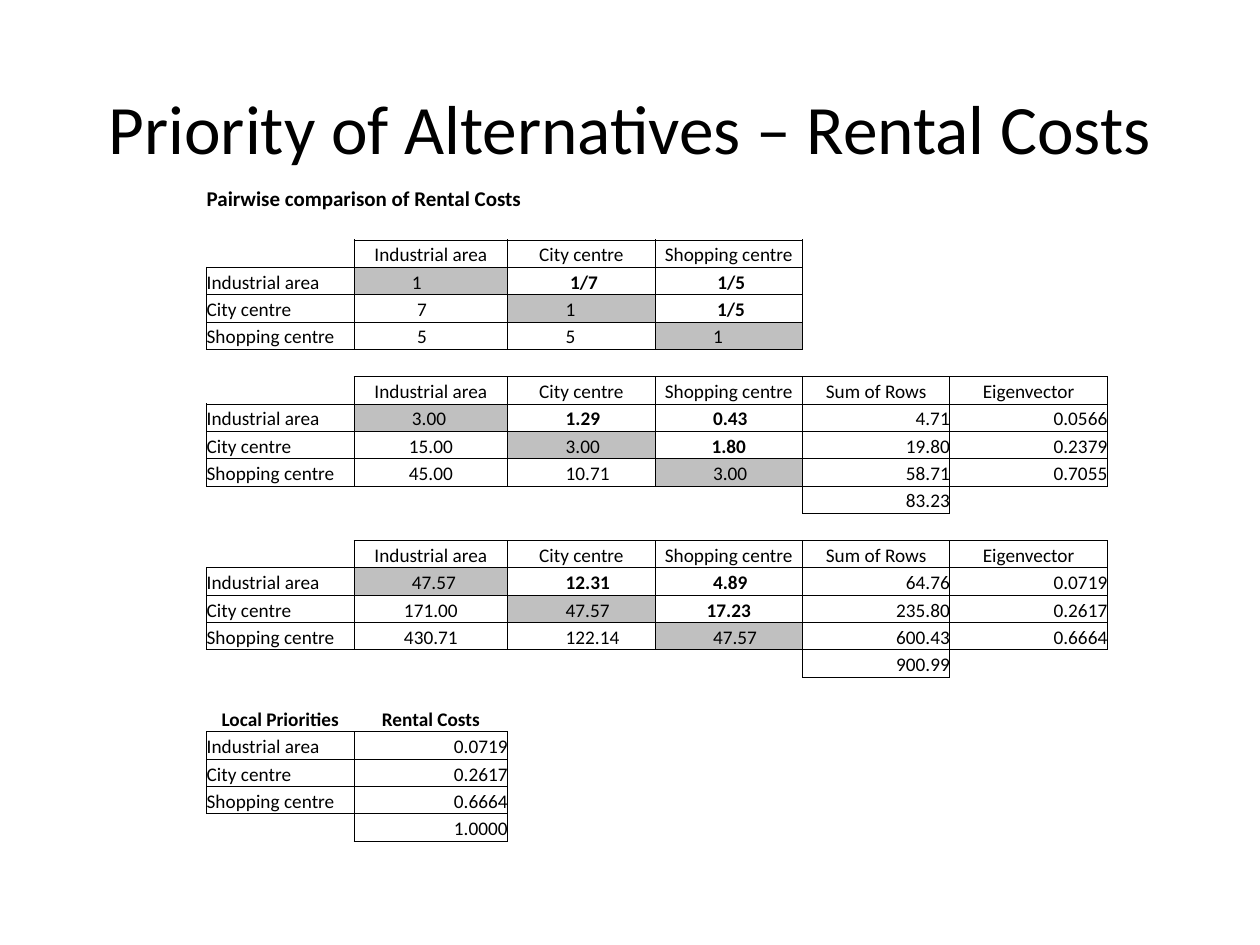
"""Build the slide on the priority of alternatives by rental costs."""

from lxml.etree import SubElement
from pptx import Presentation
from pptx.dml.color import RGBColor
from pptx.enum.text import MSO_ANCHOR, PP_ALIGN
from pptx.oxml.ns import qn
from pptx.util import Inches, Pt

COLORS = {"ink": "000000", "diagonal": "C0C0C0"}
FONT = "Calibri"
COLUMN_WIDTHS = [1.17, 1.22, 1.17, 1.17, 1.17, 1.25]
ROW_COUNT = 24
ROW_HEIGHT = 5.21 / ROW_COUNT
INDENT = 0.46
AREAS = ["Industrial area", "City centre", "Shopping centre"]
RESULT_HEADINGS = ["Sum of Rows", "Eigenvector"]
SIDES = {"a:lnL": (0, -1), "a:lnR": (0, 1), "a:lnT": (-1, 0), "a:lnB": (1, 0)}

COMPARISON = [["1", " 1/7", " 1/5"], ["7", "1", " 1/5"], ["5", "5", "1"]]
FIRST_SQUARE = [
    ["3.00", "1.29", "0.43", "4.71", "0.0566"],
    ["15.00", "3.00", "1.80", "19.80", "0.2379"],
    ["45.00", "10.71", "3.00", "58.71", "0.7055"],
]
SECOND_SQUARE = [
    ["47.57", "12.31", "4.89", "64.76", "0.0719"],
    ["171.00", "47.57", "17.23", "235.80", "0.2617"],
    ["430.71", "122.14", "47.57", "600.43", "0.6664"],
]
PRIORITIES = ["0.0719", "0.2617", "0.6664", "1.0000"]


def entry(text, align=PP_ALIGN.LEFT, **extra):
    """Describe one cell with its text and format."""
    defaults = {"bold": False, "size": 11, "left": 0, "right": 0, "fill": None, "boxed": True}
    return {**defaults, "text": text, "align": align, **extra}


def matrix_entry(text, row, column):
    """Describe a matrix value by its place relative to the diagonal."""
    if column >= len(AREAS):
        return entry(text, PP_ALIGN.RIGHT)
    bold = column > row
    if (row, column) in [(1, 0), (2, 0), (1, 2)]:
        right = 0.14 if len(text) == 1 else 0
        return entry(text, PP_ALIGN.CENTER, bold=bold, right=right)
    fill = "diagonal" if row == column else None
    return entry(text, bold=bold, left=INDENT, fill=fill)


def place_areas(grid, top):
    """Put the area names down the first column."""
    for row, area in enumerate(AREAS):
        grid[top + row, 0] = entry(area)


def place_matrix(grid, top, values, total=None):
    """Put a matrix with headings, and its total if any, into the grid."""
    headings = (AREAS + RESULT_HEADINGS)[:len(values[0])]
    for column, heading in enumerate(headings):
        grid[top, column + 1] = entry(heading, PP_ALIGN.CENTER)
    place_areas(grid, top + 1)
    for row, line in enumerate(values):
        for column, text in enumerate(line):
            grid[top + 1 + row, column + 1] = matrix_entry(text, row, column)
    if total:
        grid[top + 4, 4] = entry(total, PP_ALIGN.RIGHT)


def place_priorities(grid, top):
    """Put the local priorities into the grid."""
    for column, heading in enumerate(["Local Priorities", "Rental Costs"]):
        grid[top, column] = entry(heading, PP_ALIGN.CENTER, bold=True, boxed=False)
    place_areas(grid, top + 1)
    for row, text in enumerate(PRIORITIES, start=top + 1):
        grid[row, 1] = entry(text, PP_ALIGN.RIGHT)


def make_grid():
    """Collect every filled cell by row and column."""
    grid = {(0, 0): entry("Pairwise comparison of Rental Costs", bold=True, size=12, boxed=False)}
    place_matrix(grid, 2, COMPARISON)
    place_matrix(grid, 7, FIRST_SQUARE, "83.23")
    place_matrix(grid, 13, SECOND_SQUARE, "900.99")
    place_priorities(grid, 19)
    return grid


def set_borders(cell, grid, place):
    """Draw each edge that touches a boxed cell."""
    properties = cell._tc.get_or_add_tcPr()
    for tag, (down, across) in SIDES.items():
        neighbour = (place[0] + down, place[1] + across)
        boxed = any(grid[spot]["boxed"] for spot in (place, neighbour) if spot in grid)
        line = SubElement(properties, qn(tag), w=str(Pt(0.5)))
        if boxed:
            solid = SubElement(line, qn("a:solidFill"))
            SubElement(solid, qn("a:srgbClr"), val=COLORS["ink"])
        else:
            SubElement(line, qn("a:noFill"))


def write(para, text, size, bold=False):
    """Write one formatted run into a paragraph."""
    span = para.add_run()
    span.text = text
    for name, value in {"name": FONT, "size": Pt(size), "bold": bold}.items():
        setattr(span.font, name, value)
    span.font.color.rgb = RGBColor.from_string(COLORS["ink"])


def format_cell(cell, grid, place):
    """Fill and format one table cell."""
    item = grid.get(place, entry(""))
    layout = {
        "margin_left": Inches(item["left"]),
        "margin_right": Inches(item["right"]),
        "margin_top": 0,
        "margin_bottom": 0,
        "vertical_anchor": MSO_ANCHOR.BOTTOM,
    }
    for name, value in layout.items():
        setattr(cell, name, value)
    set_borders(cell, grid, place)
    if item["fill"]:
        cell.fill.solid()
        cell.fill.fore_color.rgb = RGBColor.from_string(COLORS[item["fill"]])
    else:
        cell.fill.background()
    para = cell.text_frame.paragraphs[0]
    para.alignment = item["align"]
    if item["text"]:
        write(para, item["text"], item["size"], item["bold"])
    else:
        SubElement(para._p, qn("a:endParaRPr"), sz="1100")


def add_grid_table(page, grid):
    """Add the table that holds all the matrices."""
    frame = page.shapes.add_table(
        ROW_COUNT, len(COLUMN_WIDTHS), Inches(1.64), Inches(1.47),
        Inches(sum(COLUMN_WIDTHS)), Inches(ROW_HEIGHT * ROW_COUNT))
    table = frame.table
    table.first_row = table.horz_banding = False
    for column, width in zip(table.columns, COLUMN_WIDTHS):
        column.width = Inches(width)
    for row in range(ROW_COUNT):
        table.rows[row].height = Inches(ROW_HEIGHT)
        for column in range(len(COLUMN_WIDTHS)):
            format_cell(table.cell(row, column), grid, (row, column))
    table.cell(0, 0).merge(table.cell(0, 2))


def set_title(page, text):
    """Move and write the title placeholder."""
    box = page.shapes.title
    place = {"left": 0.5, "top": 0.38, "width": 9, "height": 1.25}
    for name, value in place.items():
        setattr(box, name, Inches(value))
    box.text_frame.vertical_anchor = MSO_ANCHOR.MIDDLE
    para = box.text_frame.paragraphs[0]
    para.alignment = PP_ALIGN.CENTER
    write(para, text, 39.6)


def main():
    """Build and save the deck."""
    deck = Presentation()
    deck.slide_width, deck.slide_height = Inches(10), Inches(7.5)
    page = deck.slides.add_slide(deck.slide_layouts[5])
    set_title(page, "Priority of Alternatives – Rental Costs")
    add_grid_table(page, make_grid())
    deck.save("out.pptx")


if __name__ == "__main__":
    main()
